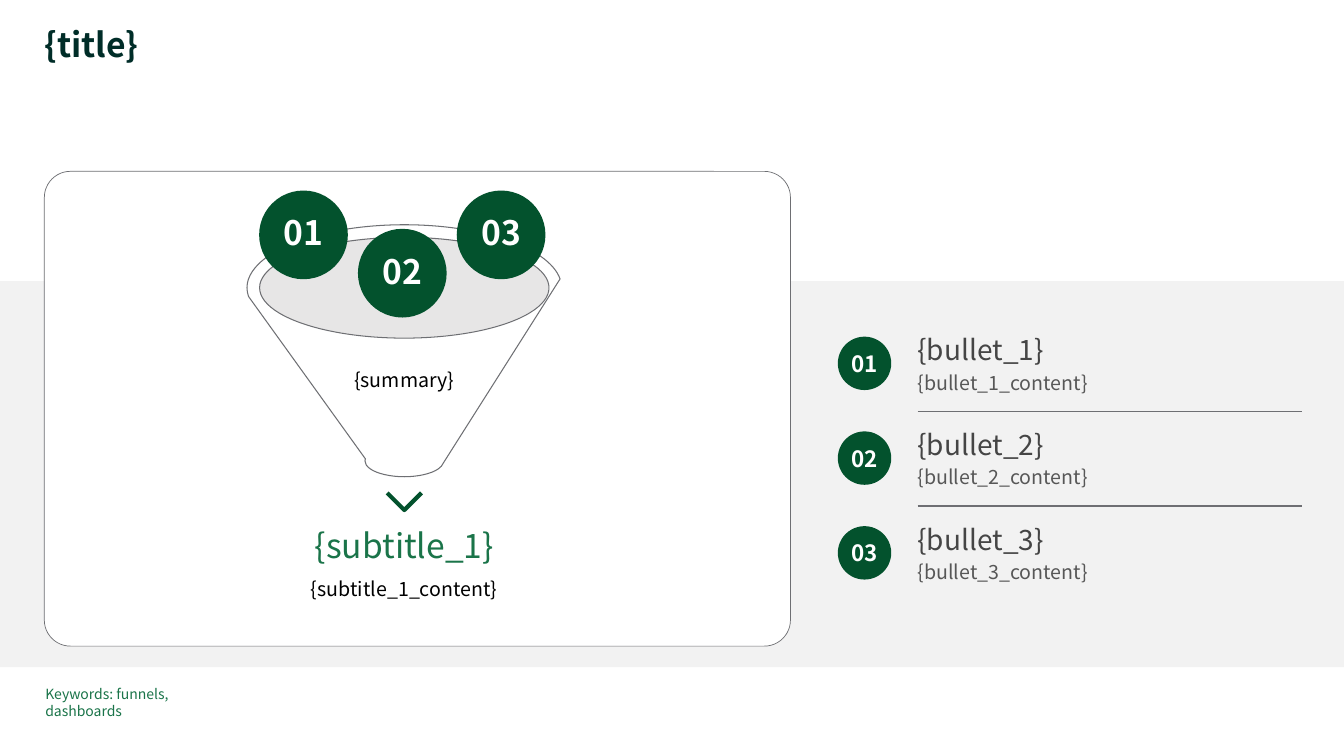
from lxml import etree
from pptx import Presentation
from pptx import util as u
from pptx.dml.color import RGBColor
from pptx.enum import shapes, text
from pptx.oxml import ns

WHITE = RGBColor(0xFF, 0xFF, 0xFF)
BLACK = RGBColor(0, 0, 0)
BAND = RGBColor(0xF2, 0xF2, 0xF2)
MOUTH = RGBColor(0xE7, 0xE6, 0xE6)
EDGE = RGBColor(0x6E, 0x6F, 0x73)
INK = RGBColor(0x00, 0x2D, 0x28)
GREEN = RGBColor(0x03, 0x52, 0x2D)
LEAF = RGBColor(0x1A, 0x74, 0x49)
HEAD = RGBColor(0x45, 0x45, 0x45)
BODY = RGBColor(0x57, 0x57, 0x57)

KIND = shapes.MSO_SHAPE
ALIGN = text.PP_ALIGN
ANCHOR = text.MSO_ANCHOR


class Deck:
    """Hold the font and the current slide, and draw its elements."""

    font = "Noto Sans CJK JP"

    def __init__(self):
        self.file = Presentation()
        self.file.slide_width = u.Inches(13.33)
        self.file.slide_height = u.Inches(7.5)
        self.slide = self.file.slides.add_slide(self.file.slide_layouts[5])
        self.items = self.slide.shapes

    def place(self, *box):
        return [u.Inches(side) for side in box]

    def letter(self, frame, rows, align=ALIGN.LEFT, anchor=ANCHOR.TOP,
               bold=False, space=None, after=0, inset=0):
        frame.word_wrap = True
        frame.vertical_anchor = anchor
        frame.margin_left = frame.margin_right = u.Inches(inset)
        frame.margin_top = frame.margin_bottom = u.Inches(inset)
        for spot, (words, size, color) in enumerate(rows):
            para = frame.paragraphs[0] if spot == 0 else frame.add_paragraph()
            para.text = words
            para.alignment = align
            para.line_spacing = space
            para.space_before = u.Pt(0)
            para.space_after = u.Pt(after)
            para.font.name = self.font
            para.font.size = u.Pt(size)
            para.font.bold = bold
            para.font.color.rgb = color

    def title(self, words, box):
        title = self.items.title
        title.left, title.top, title.width, title.height = self.place(*box)
        title.text_frame.auto_size = text.MSO_AUTO_SIZE.SHAPE_TO_FIT_TEXT
        self.letter(title.text_frame, [(words, 24, INK)], bold=True, space=0.9)

    def label(self, rows, box, **style):
        frame = self.items.add_textbox(*self.place(*box)).text_frame
        frame.auto_size = text.MSO_AUTO_SIZE.SHAPE_TO_FIT_TEXT
        self.letter(frame, rows, **style)

    def shape(self, kind, box, fill, width=None):
        shape = self.items.add_shape(kind, *self.place(*box))
        shape.shadow.inherit = False
        shape.fill.solid()
        shape.fill.fore_color.rgb = fill
        if width:
            shape.line.color.rgb = EDGE
            shape.line.width = u.Pt(width)
        else:
            shape.line.fill.background()
        return shape

    def badge(self, words, left, top, side, size, **style):
        badge = self.shape(KIND.OVAL, (left, top, side, side), GREEN)
        self.letter(badge.text_frame, [(words, size, WHITE)], bold=True,
                    align=ALIGN.CENTER, anchor=ANCHOR.MIDDLE, **style)

    def funnel(self, box):
        funnel = self.shape(KIND.FUNNEL, box, WHITE, 0.75)
        color = funnel._element.spPr.find(
            ns.qn("a:solidFill") + "/" + ns.qn("a:srgbClr"))
        etree.SubElement(color, ns.qn("a:alpha"), val="40000")

    def arrow(self, points):
        start, *rest = [self.place(*point) for point in points]
        form = self.items.build_freeform(*start)
        form.add_line_segments(rest, close=False)
        arrow = form.convert_to_shape()
        arrow.shadow.inherit = False
        arrow.fill.background()
        arrow.line.color.rgb = GREEN
        arrow.line.width = u.Pt(3)

    def rule(self, left, right, top):
        rule = self.items.add_connector(
            shapes.MSO_CONNECTOR.STRAIGHT, *self.place(left, top, right, top))
        rule.line.color.rgb = EDGE
        rule.line.width = u.Pt(1)
        etree.SubElement(rule._element.spPr, ns.qn("a:effectLst"))


def main():
    deck = Deck()
    deck.shape(KIND.RECTANGLE, (0, 2.79, 13.33, 3.83), BAND)
    card = deck.shape(KIND.ROUNDED_RECTANGLE, (0.44, 1.7, 7.4, 4.71), WHITE, 0.5)
    card.adjustments[0] = 0.055
    deck.title("{title}", (0.44, 0.28, 11.03, 0.37))

    deck.shape(KIND.OVAL, (2.57, 2.35, 2.87, 1), MOUTH)
    deck.funnel((2.45, 2.23, 3.12, 2.5))
    for spot, top in enumerate((1.89, 2.27, 1.89)):
        deck.badge(f"0{spot + 1}", 2.57 + 0.98 * spot, top, 0.88, 24,
                   space=0.9, inset=0.04)
    deck.label([("{summary}", 14, BLACK)], (3.02, 3.68, 1.98, 0.22),
               align=ALIGN.CENTER, space=0.9)
    deck.arrow([(4.18, 4.89), (4.01, 5.06), (3.84, 4.89)])
    deck.label([("{subtitle_1}", 24, LEAF)], (0.84, 5.21, 6.34, 0.4),
               align=ALIGN.CENTER, after=6)
    deck.label([("{subtitle_1_content}", 14, BLACK)], (0.84, 5.72, 6.34, 0.24),
               align=ALIGN.CENTER, after=6)

    for spot in range(3):
        top = 3.34 + 0.94 * spot
        name = f"bullet_{spot + 1}"
        deck.badge(f"0{spot + 1}", 8.31, top, 0.53, 16)
        deck.label([(f"{{{name}}}", 20, HEAD), (f"{{{name}_content}}", 14, BODY)],
                   (9.1, top - 0.04, 3.82, 0.61), after=3)
        if spot < 2:
            deck.rule(9.1, 12.91, top + 0.74)

    deck.label([("Keywords: funnels, dashboards", 10, LEAF)],
               (0.45, 6.8, 1.94, 0.17), after=1.1)
    deck.file.save("out.pptx")


if __name__ == "__main__":
    main()
